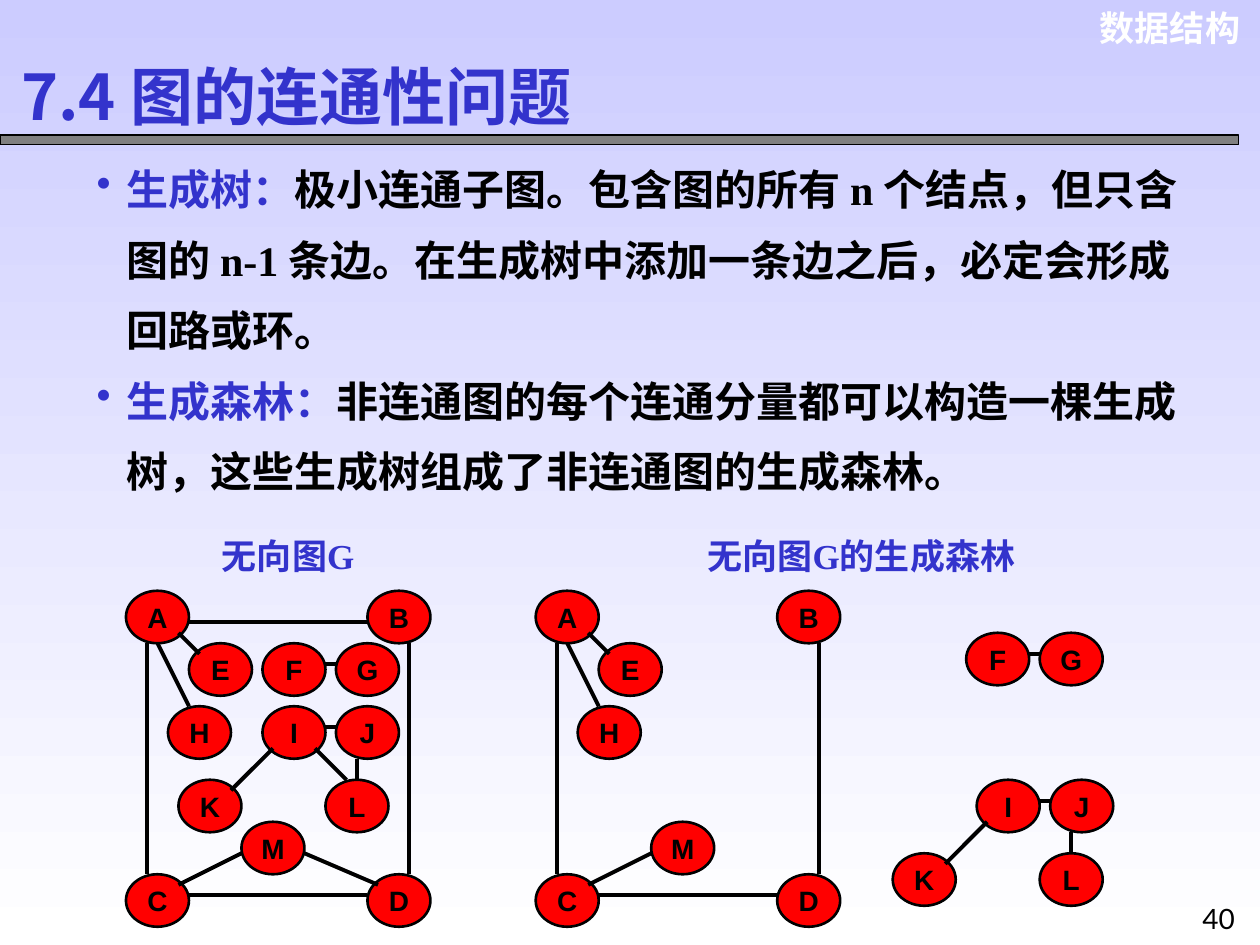
from pptx import Presentation
from pptx.dml.color import RGBColor
from pptx.enum.shapes import MSO_CONNECTOR, MSO_SHAPE
from pptx.enum.text import MSO_ANCHOR, PP_ALIGN
from pptx.oxml.ns import qn
from pptx.util import Cm, Pt
from lxml.etree import SubElement

BLUE = RGBColor(0x33, 0x33, 0xCC)
LAVENDER = RGBColor(0xCC, 0xCC, 0xFF)
WHITE = RGBColor(0xFF, 0xFF, 0xFF)
BLACK = RGBColor(0, 0, 0)
GRAY = RGBColor(0x80, 0x80, 0x80)
RED = RGBColor(0xFF, 0, 0)

CHINESE_FONT = "Noto Sans CJK SC"
GRID = 2.54 / 12
GRAPH_TOP = 11.91
NODE_WIDTH, NODE_HEIGHT = 6, 5

MAIN_NODES = {"A": (0, 0), "B": (23, 0), "C": (0, 27), "D": (23, 27),
              "E": (6, 5), "H": (4, 11), "M": (11, 22)}
GRAPH_NODES = MAIN_NODES | {"F": (13, 5), "G": (20, 5), "I": (13, 11),
                            "J": (20, 11), "K": (5, 18), "L": (19, 18)}
FOREST_NODES = MAIN_NODES | {"F": (41, 4), "G": (48, 4), "I": (42, 18),
                             "J": (49, 18), "K": (34, 25), "L": (48, 25)}

FOREST_EDGES = {"AC": ((2, 5), (2, 0)), "BD": ((4, 5), (4, 0)),
                "CD": ((6, 2), (0, 2)), "CM": ((5, 1), (0, 3)),
                "AH": ((3, 5), (2, 0)), "AE": ((5, 4), (1, 1)),
                "KI": ((5, 1), (1, 4)), "FG": ((6, 2), (0, 2)),
                "IJ": ((6, 2), (0, 2)), "LJ": ((3, 0), (2, 5))}
GRAPH_EDGES = FOREST_EDGES | {"AB": ((6, 3), (0, 3)), "MD": ((6, 3), (1, 1)),
                              "LI": ((2, 0), (5, 4))}

DEFINITIONS = [
    ("生成树：", "极小连通子图。包含图的所有 n 个结点，但只含图的 n-1 条边。"
              "在生成树中添加一条边之后，必定会形成回路或环。"),
    ("生成森林：", "非连通图的每个连通分量都可以构造一棵生成树，"
               "这些生成树组成了非连通图的生成森林。"),
]


def set_attributes(target, values):
    for name, value in values.items():
        setattr(target, name, value)


def add_run(paragraph, text, size, color, font_name, bold=True):
    run = paragraph.add_run()
    run.text = text
    set_attributes(run.font, {"size": Pt(size), "name": font_name, "bold": bold})
    run.font.color.rgb = color
    east_asian = SubElement(run.font._element, qn("a:ea"))
    east_asian.set("typeface", CHINESE_FONT)


def add_text_frame(slide, left, top, width, height, anchor=MSO_ANCHOR.MIDDLE):
    box = slide.shapes.add_textbox(Cm(left), Cm(top), Cm(width), Cm(height))
    set_attributes(box.text_frame, {"word_wrap": True, "vertical_anchor": anchor})
    return box.text_frame


def add_label(slide, bounds, text, size, color, font_name,
              alignment=PP_ALIGN.CENTER, bold=True):
    paragraph = add_text_frame(slide, *bounds).paragraphs[0]
    paragraph.alignment = alignment
    add_run(paragraph, text, size, color, font_name, bold)


def add_bullet(paragraph):
    properties = paragraph._p.get_or_add_pPr()
    set_margins = {"marL": Cm(0.6), "indent": Cm(-0.6)}
    for name, value in set_margins.items():
        properties.set(name, str(value))
    bullet_color = SubElement(properties, qn("a:buClr"))
    SubElement(bullet_color, qn("a:srgbClr")).set("val", str(BLUE))
    SubElement(properties, qn("a:buChar")).set("char", "•")


def add_definitions(slide):
    frame = add_text_frame(slide, 1.7, 2.77, 22.6, 7.37, MSO_ANCHOR.TOP)
    for index, (term, meaning) in enumerate(DEFINITIONS):
        paragraph = frame.add_paragraph() if index else frame.paragraphs[0]
        add_bullet(paragraph)
        paragraph.line_spacing = Pt(40.3)
        add_run(paragraph, term, 24, BLUE, "Times New Roman")
        add_run(paragraph, meaning, 24, BLACK, "Times New Roman")


def add_filled_shape(slide, kind, bounds, fill, line_width):
    shape = slide.shapes.add_shape(kind, *(Cm(value) for value in bounds))
    shape.shadow.inherit = False
    shape.fill.solid()
    shape.fill.fore_color.rgb = fill
    shape.line.color.rgb = BLACK
    shape.line.width = Pt(line_width)
    return shape


def add_node(slide, name, left, top):
    bounds = (left, top, NODE_WIDTH * GRID, NODE_HEIGHT * GRID)
    shape = add_filled_shape(slide, MSO_SHAPE.OVAL, bounds, RED, 1.5)
    set_attributes(shape.text_frame, {"word_wrap": False,
                                      "vertical_anchor": MSO_ANCHOR.MIDDLE})
    paragraph = shape.text_frame.paragraphs[0]
    paragraph.alignment = PP_ALIGN.CENTER
    add_run(paragraph, name, 16, BLACK, "Arial")


def add_edge(slide, start, end):
    connector = slide.shapes.add_connector(
        MSO_CONNECTOR.STRAIGHT, *(Cm(value) for value in start + end))
    connector.line.color.rgb = BLACK
    connector.line.width = Pt(2.25)
    SubElement(connector._element.spPr, qn("a:effectLst"))


def add_graph(slide, left, nodes, edges):
    def locate(name, offset=(0, 0)):
        column, row = nodes[name]
        return (left + (column + offset[0]) * GRID,
                GRAPH_TOP + (row + offset[1]) * GRID)

    for name in nodes:
        add_node(slide, name, *locate(name))
    for (first, second), (first_offset, second_offset) in edges.items():
        add_edge(slide, locate(first, first_offset), locate(second, second_offset))


def set_background(slide):
    fill = slide.background.fill
    fill.gradient()
    fill.gradient_angle = 270
    for stop, color, position in zip(fill.gradient_stops, (LAVENDER, WHITE), (0, 1)):
        stop.color.rgb = color
        stop.position = position


def main():
    presentation = Presentation()
    set_attributes(presentation, {"slide_width": Cm(25.4), "slide_height": Cm(19.05)})
    slide = presentation.slides.add_slide(presentation.slide_layouts[6])
    set_background(slide)
    add_label(slide, (21.77, 0, 3.48, 1.12), "数据结构", 20, WHITE, "Arial",
              PP_ALIGN.RIGHT)
    add_filled_shape(slide, MSO_SHAPE.RECTANGLE, (0, 2.72, 24.97, 0.2), GRAY, 0.75)
    add_label(slide, (0.18, 1.22, 12.57, 1.4), "7.4 图的连通性问题", 36, BLUE,
              CHINESE_FONT, PP_ALIGN.LEFT)
    add_definitions(slide)
    add_graph(slide, 2.54, GRAPH_NODES, GRAPH_EDGES)
    add_graph(slide, 10.8, FOREST_NODES, FOREST_EDGES)
    add_label(slide, (4.01, 10.64, 3.6, 1.12), "无向图G", 20, BLUE, "Times New Roman")
    add_label(slide, (13.77, 10.64, 7.19, 1.12), "无向图G的生成森林", 20, BLUE,
              "Times New Roman")
    add_label(slide, (23.93, 17.98, 1.27, 1.07), "40", 16, BLACK, "Lato", bold=False)
    presentation.save("out.pptx")


if __name__ == "__main__":
    main()
